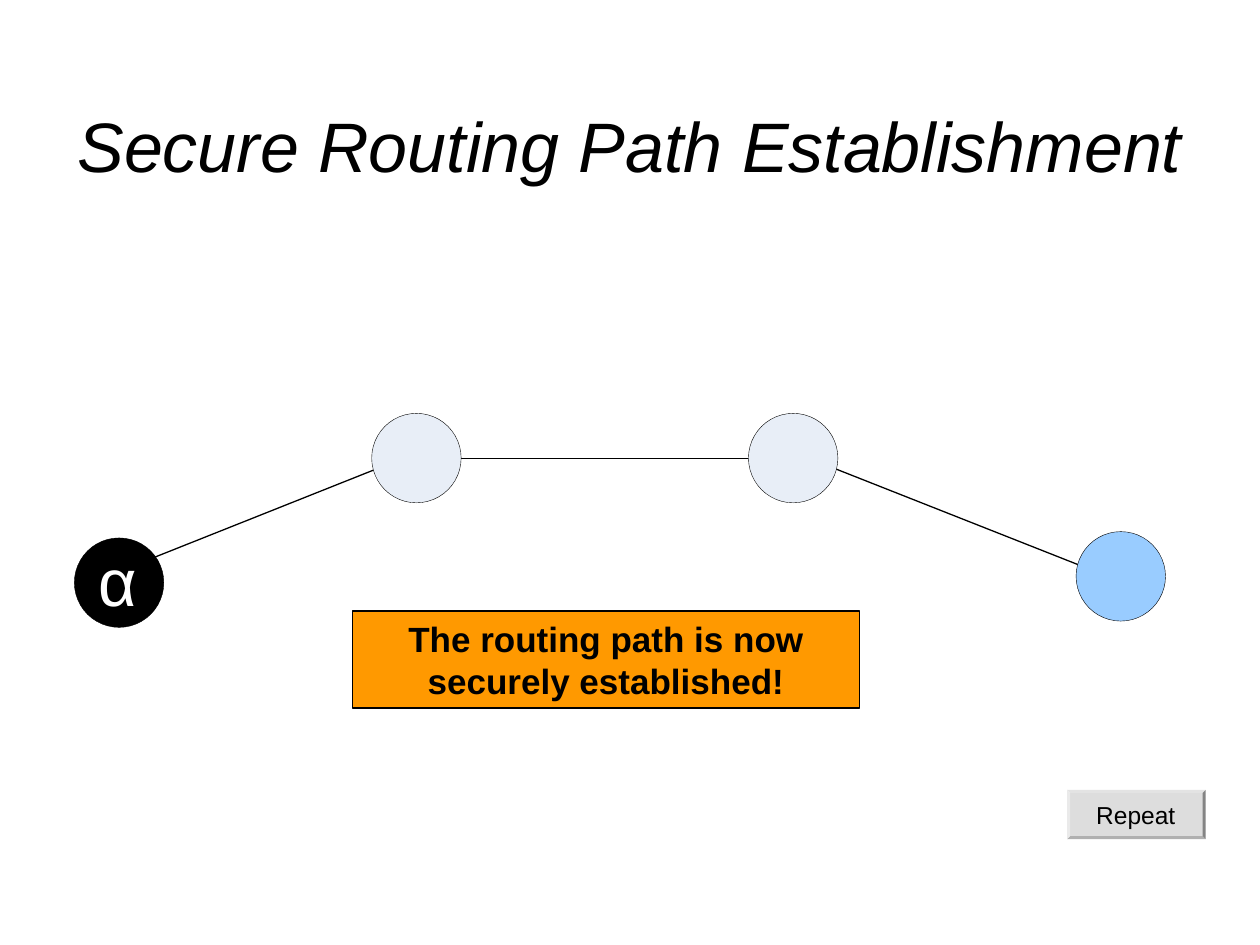
from dataclasses import dataclass
from typing import Any, NamedTuple

from lxml import etree
from pptx import Presentation
from pptx.dml.color import RGBColor
from pptx.enum import shapes, text
from pptx.oxml import ns
from pptx.util import Pt


@dataclass(frozen=True)
class Theme:
    font: str = "Arial"
    ink: str = "000000"
    white: str = "FFFFFF"
    relay: str = "E8EEF7"
    target: str = "99CCFF"
    notice: str = "FF9900"
    button: str = "DDDDDD"
    title: float = 40
    alpha: float = 38
    body: float = 20
    small: float = 14
    thin: float = 0.23
    line: float = 0.75


class Box(NamedTuple):
    left: float
    top: float
    width: float
    height: float

    def pts(self) -> list[Pt]:
        return [Pt(v) for v in self]


class Node(NamedTuple):
    left: float
    top: float
    fill: str


class Link(NamedTuple):
    x1: float
    y1: float
    x2: float
    y2: float


THEME = Theme()
KIND = shapes.MSO_SHAPE
SIZE = 51.1
NODES = [
    Node(212.4, 236.2, THEME.relay),
    Node(427.7, 236.2, THEME.relay),
    Node(614.9, 303.8, THEME.target),
    Node(42.5, 307.4, THEME.ink),
]
LINKS = [
    Link(224.6, 264.2, 79.9, 321.8),
    Link(433.4, 262.1, 252, 262.1),
    Link(628.6, 327.6, 468, 264.2),
]


def write(shape: Any, words: str, *, size: float, color: str = THEME.ink,
          bold: bool = False, italic: bool = False, center: bool = True,
          inset: tuple[float, float] = (7.2, 3.6)) -> None:
    frame = shape.text_frame
    frame.word_wrap = True
    frame.auto_size = text.MSO_AUTO_SIZE.NONE
    frame.vertical_anchor = text.MSO_ANCHOR.MIDDLE
    frame.margin_left = frame.margin_right = Pt(inset[0])
    frame.margin_top = frame.margin_bottom = Pt(inset[1])
    para = frame.paragraphs[0]
    para.alignment = text.PP_ALIGN.CENTER if center else text.PP_ALIGN.LEFT
    run = para.add_run()
    run.text = words
    font = run.font
    font.name, font.size = THEME.font, Pt(size)
    font.bold, font.italic = bold, italic
    font.color.rgb = RGBColor.from_string(color)


def add_shape(slide: Any, kind: Any, box: Box, fill: str, width: float = 0) -> Any:
    """Draw a filled shape; a width of 0 means no outline."""
    shape = slide.shapes.add_shape(kind, *box.pts())
    shape.shadow.inherit = False
    shape.fill.solid()
    shape.fill.fore_color.rgb = RGBColor.from_string(fill)
    if width:
        shape.line.width = Pt(width)
        shape.line.color.rgb = RGBColor.from_string(THEME.ink)
    else:
        shape.line.fill.background()
    return shape


def add_link(slide: Any, link: Link) -> None:
    line = slide.shapes.add_connector(
        shapes.MSO_CONNECTOR.STRAIGHT, *[Pt(v) for v in link])
    line.line.width = Pt(THEME.line)
    line.line.color.rgb = RGBColor.from_string(THEME.ink)
    etree.SubElement(line._element.spPr, ns.qn("a:effectLst"))


def add_label(slide: Any, box: Box, words: str, size: float, color: str) -> None:
    label = slide.shapes.add_textbox(*box.pts())
    write(label, words, size=size, color=color, center=False, inset=(0, 0))


def main() -> None:
    deck = Presentation()
    deck.slide_width, deck.slide_height = Pt(720), Pt(540)
    slide = deck.slides.add_slide(deck.slide_layouts[5])

    title = slide.shapes.title
    title.left, title.top, title.width, title.height = Box(25.2, 37.4, 668.9, 90).pts()
    write(title, "Secure Routing Path Establishment", size=THEME.title, italic=True)

    for link in LINKS:
        add_link(slide, link)
    for node in NODES:
        add_shape(slide, KIND.OVAL, Box(node.left, node.top, SIZE, SIZE),
                  node.fill, THEME.thin)
    add_label(slide, Box(56.2, 308.5, 33.8, 45.4), "α", THEME.alpha, THEME.white)

    button = add_shape(slide, KIND.BEVEL, Box(609.8, 451.4, 79.2, 28.1), THEME.button)
    button.adjustments[0] = 0.06
    add_label(slide, Box(626.4, 457.2, 51.1, 16.6), "Repeat", THEME.small, THEME.ink)

    notice = add_shape(slide, KIND.RECTANGLE, Box(201.6, 349.2, 289.4, 55.4),
                       THEME.notice, THEME.line)
    write(notice, "The routing path is now securely established!",
          size=THEME.body, bold=True)

    deck.save("out.pptx")


if __name__ == "__main__":
    main()
